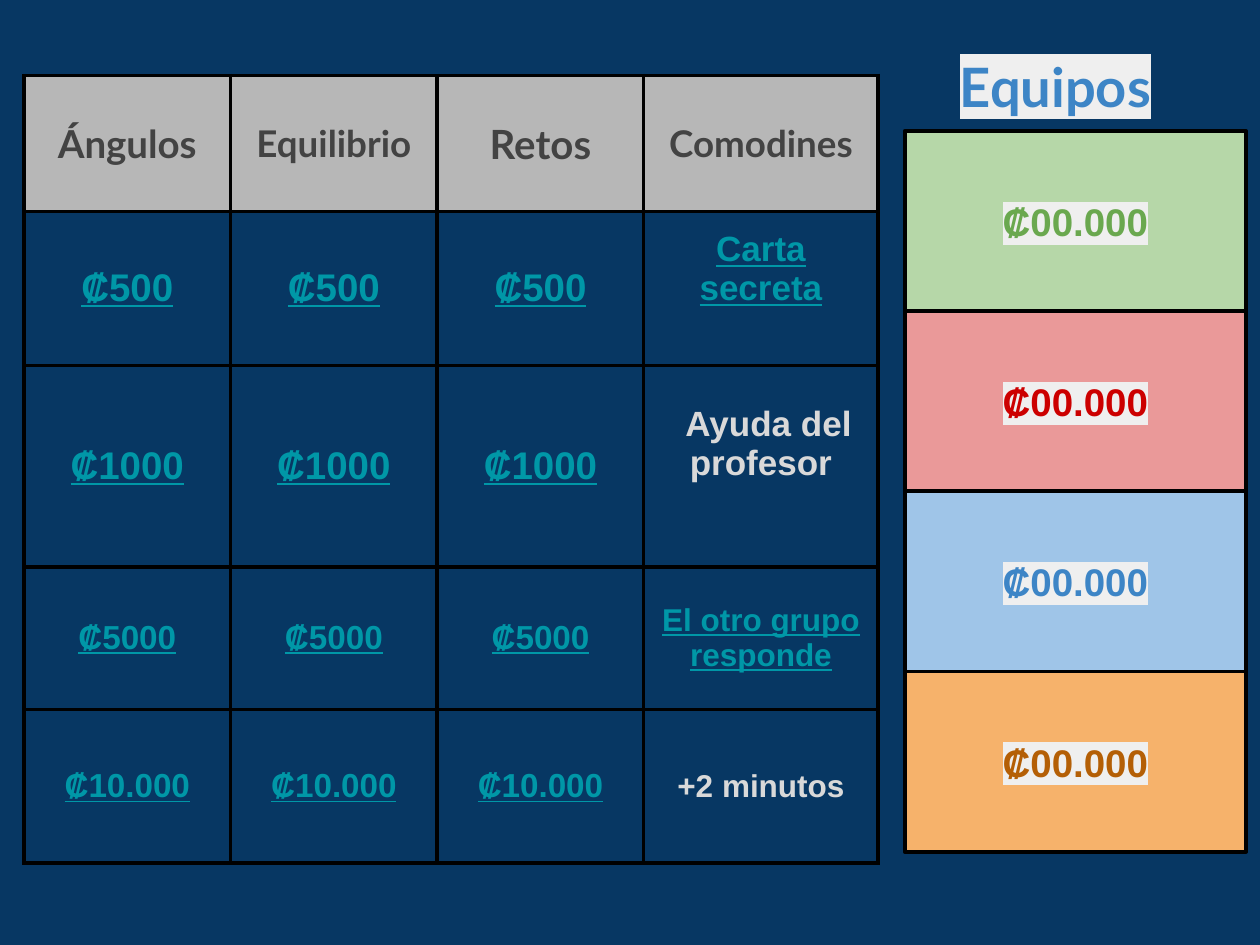
"""Build a quiz-game board slide with a prize table and four team score boxes."""
from lxml.etree import SubElement
from pptx import Presentation
from pptx.dml.color import RGBColor as Rgb
from pptx.enum.shapes import MSO_SHAPE as Shape
from pptx.enum.text import MSO_ANCHOR as Anchor, MSO_AUTO_SIZE as AutoSize, PP_ALIGN as Align
from pptx.oxml.ns import qn
from pptx.util import Inches, Pt

HEADERS = [("Ángulos", 22), ("Equilibrio", 21), ("Retos", 23), ("Comodines", 21)]
PRIZES = [("₡500", 22), ("₡1000", 22), ("₡5000", 19), ("₡10.000", 19)]
WILDCARDS = [
    {"text": "Carta secreta", "size": 20, "color": "link", "lift": 0.31},
    {"text": "Ayuda del profesor", "size": 20, "color": "plain", "lift": 0.36, "indent": 0.12},
    {"text": "El otro grupo responde", "size": 18, "color": "link"},
    {"text": "+2 minutos", "size": 18, "color": "plain"},
]
TEAM_TITLE = "Equipos"
TEAM_SCORE = "₡00.000"
TEAMS = [("B6D7A8", "6AA84F"), ("EA9999", "CC0000"), ("9FC5E8", "3D85C6"), ("F6B26B", "B45F06")]

THEME = {
    "background": "073763", "header_fill": "B7B7B7", "header": "434343",
    "link": "0097A7", "plain": "D9D9D9", "border": "000000",
    "title": "3D85C6", "highlight": "EFEFEF",
    "heading_font": "Lato", "body_font": "Arial",
    "title_size": 31, "score_size": 22, "border_width": 2.25,
}
SLIDE = (10, 7.5)
BOARD_ORIGIN = (0.19, 0.6)
COLUMNS = [1.64, 1.64, 1.64, 1.86]
ROWS = [1.08, 1.22, 1.6, 1.13, 1.22]
TEAM_ORIGIN = (7.18, 1.04)
TEAM_CELL = (2.71, 1.43)
TITLE_AREA = (7.52, 0.32, 2.05, 0.72)
CELL_FORMAT = {"margin_left": Inches(0.1), "margin_right": Inches(0.1),
               "margin_top": Inches(0.13), "margin_bottom": Inches(0.13),
               "vertical_anchor": Anchor.MIDDLE}
BOX_FORMAT = {f"margin_{side}": Inches(0.1) for side in ("left", "right", "top", "bottom")}
BOX_FORMAT["word_wrap"] = True


def apply(target, values):
    """Set every attribute named in values on target."""
    for name, value in values.items():
        setattr(target, name, value)


def paint(fill, color):
    """Give a fill one solid colour."""
    fill.solid()
    fill.fore_color.rgb = Rgb.from_string(color)


def write(frame, text, size, font, color, align=Align.CENTER, underline=False, highlight=None):
    """Write one formatted bold paragraph and return it."""
    para = frame.paragraphs[0]
    para.alignment = align
    span = para.add_run()
    span.text = text
    apply(span.font, {"name": font, "size": Pt(size), "bold": True, "underline": underline})
    span.font.color.rgb = Rgb.from_string(color)
    if highlight:
        props = span.font._element
        mark = SubElement(props, qn("a:highlight"))
        SubElement(mark, qn("a:srgbClr"), val=highlight)
        props.find(qn("a:solidFill")).addnext(mark)
    return para


def add_borders(cell):
    """Draw a solid line on all four sides of a cell."""
    props = cell._tc.get_or_add_tcPr()
    for side in ("lnL", "lnR", "lnT", "lnB"):
        line = SubElement(props, qn(f"a:{side}"), w=str(Pt(THEME["border_width"])))
        fill = SubElement(line, qn("a:solidFill"))
        SubElement(fill, qn("a:srgbClr"), val=THEME["border"])


def add_board(page):
    """Add the table of prizes and wildcards."""
    area = [Inches(v) for v in (*BOARD_ORIGIN, sum(COLUMNS), sum(ROWS))]
    board = page.shapes.add_table(len(ROWS), len(COLUMNS), *area).table
    apply(board, {"first_row": False, "horz_banding": False})
    for column, width in zip(board.columns, COLUMNS):
        column.width = Inches(width)
    for row, height in zip(board.rows, ROWS):
        row.height = Inches(height)

    content = [[{"text": text, "size": size, "color": "header"} for text, size in HEADERS]]
    for (prize, size), wildcard in zip(PRIZES, WILDCARDS):
        entry = {"text": prize, "size": size, "color": "link"}
        content.append([entry] * (len(COLUMNS) - 1) + [wildcard])

    for row, entries in zip(board.rows, content):
        for cell, entry in zip(row.cells, entries):
            is_header = entry["color"] == "header"
            apply(cell, CELL_FORMAT)
            cell.margin_bottom += Inches(entry.get("lift", 0))
            add_borders(cell)
            if is_header:
                paint(cell.fill, THEME["header_fill"])
            else:
                cell.fill.background()
            font = THEME["heading_font" if is_header else "body_font"]
            para = write(cell.text_frame, entry["text"], entry["size"], font,
                         THEME[entry["color"]], underline=entry["color"] == "link")
            if "indent" in entry:
                para._p.get_or_add_pPr().set("indent", str(Inches(entry["indent"])))


def add_teams(page):
    """Add the team title and the stacked score boxes."""
    title = page.shapes.add_textbox(*[Inches(v) for v in TITLE_AREA])
    apply(title.text_frame, {**BOX_FORMAT, "auto_size": AutoSize.SHAPE_TO_FIT_TEXT})
    write(title.text_frame, TEAM_TITLE, THEME["title_size"], THEME["heading_font"],
          THEME["title"], align=Align.LEFT, highlight=THEME["highlight"])

    left, top = TEAM_ORIGIN
    width, height = TEAM_CELL
    for index, (fill, color) in enumerate(TEAMS):
        area = [Inches(v) for v in (left, top + index * height, width, height)]
        box = page.shapes.add_shape(Shape.RECTANGLE, *area)
        box.shadow.inherit = False
        paint(box.fill, fill)
        paint(box.line.fill, THEME["border"])
        box.line.width = Pt(THEME["border_width"])
        apply(box.text_frame, {**BOX_FORMAT, "vertical_anchor": Anchor.MIDDLE})
        write(box.text_frame, TEAM_SCORE, THEME["score_size"], THEME["body_font"],
              color, highlight=THEME["highlight"])


def main():
    """Assemble the deck and save it."""
    deck = Presentation()
    apply(deck, dict(zip(("slide_width", "slide_height"), map(Inches, SLIDE))))
    page = deck.slides.add_slide(deck.slide_layouts[6])
    paint(page.background.fill, THEME["background"])
    add_board(page)
    add_teams(page)
    deck.save("out.pptx")


if __name__ == "__main__":
    main()
